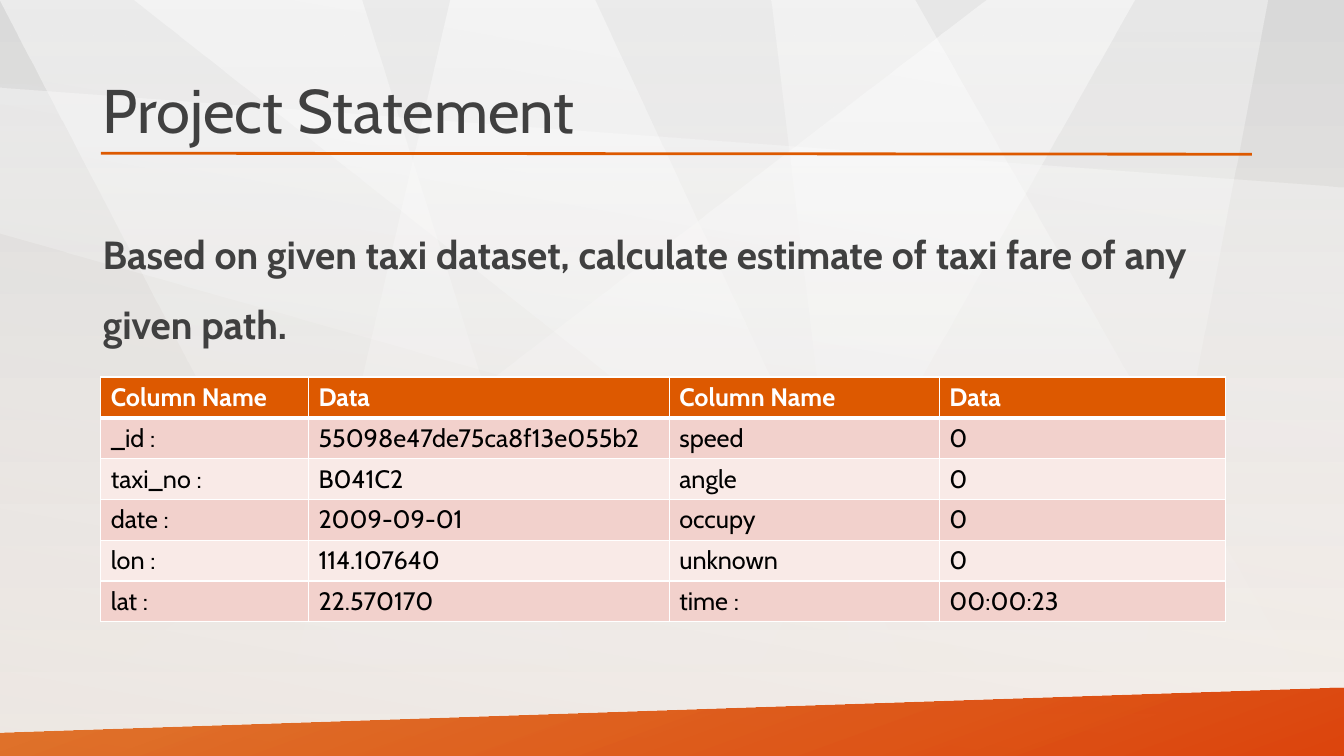
from dataclasses import dataclass

import lxml.etree
import pptx
import pptx.dml.color
import pptx.enum.shapes
import pptx.enum.text
import pptx.oxml.ns
import pptx.util

# Lengths are percentages of the slide's width (x) and height (y).
WIDTH = pptx.util.Inches(13.333)
HEIGHT = pptx.util.Inches(7.5)
FONT = "Cabin"
ORANGE, WHITE, BLACK, GREY = "DD5900", "FFFFFF", "000000", "404040"
BANDS = ("F2D1CC", "F9EAE7")
COLUMN_WIDTHS = (15.45, 26.85, 20.1, 21.3)
ROW_HEIGHT = 5.4
ROWS = (
    ("Column Name", "Data", "Column Name", "Data"),
    ("_id :", "55098e47de75ca8f13e055b2", "speed", "0"),
    ("taxi_no :", "B041C2", "angle", "0"),
    ("date :", "2009-09-01", "occupy", "0"),
    ("lon :", "114.107640", "unknown", "0"),
    ("lat :", "22.570170", "time :", "00:00:23"),
)


@dataclass(frozen=True)
class Gradient:
    """Two colours with opacities in percent, and a clockwise angle."""
    start: str
    start_opacity: int
    end: str
    end_opacity: int
    angle: int = 90


@dataclass(frozen=True)
class Facet:
    points: tuple[tuple[float, float], ...]
    gradient: Gradient


HALF_GLOW = Gradient(WHITE, 50, WHITE, 0)
SOFT_GLOW = Gradient(WHITE, 40, WHITE, 0)
SHEEN = Gradient("BFBFBF", 25, WHITE, 0, 280)
BACKDROP = Gradient("D9D9D9", 50, "FCF5EF", 100)
FACETS = (
    Facet(((73.4, 0), (0, 100), (52.6, 100), (84.4, 0)), HALF_GLOW),
    Facet(((0, 0), (26.9, 0), (44.6, 100), (29.3, 100)), HALF_GLOW),
    Facet(((9.9, 0), (68, 0), (100, 100), (81.2, 100)), HALF_GLOW),
    Facet(((57.4, 0), (64.2, 100), (83.6, 100), (94.3, 0)), SOFT_GLOW),
    Facet(((44.2, 0), (33.5, 0), (20.4, 100), (70.4, 100)), HALF_GLOW),
    Facet(((0, 11.6), (100, 24.8), (100, 81.3), (0, 30.9)), SOFT_GLOW),
    Facet(((0, 0), (100, 0), (100, 100), (0, 100)), SHEEN),
    Facet(((0, 96.9), (100, 90.9), (100, 100), (0, 100)),
          Gradient(ORANGE, 80, "DC3C00", 95, 70)),
)


def across(share: float) -> int:
    return round(WIDTH * share / 100)


def down(share: float) -> int:
    return round(HEIGHT * share / 100)


def rgb(colour: str) -> pptx.dml.color.RGBColor:
    return pptx.dml.color.RGBColor.from_string(colour)


def add_xml(parent, tag: str, **attributes: str):
    return lxml.etree.SubElement(parent, pptx.oxml.ns.qn(tag), attributes)


def paint_gradient(fill, owner, gradient: Gradient) -> None:
    """Fill with a gradient; owner is the element that holds the fill."""
    fill.gradient()
    fill.gradient_angle = (360 - gradient.angle) % 360
    for stop, colour in zip(fill.gradient_stops, (gradient.start, gradient.end)):
        stop.color.rgb = rgb(colour)
    opacities = (gradient.start_opacity, gradient.end_opacity)
    for colour_node, opacity in zip(owner.iter(pptx.oxml.ns.qn("a:srgbClr")), opacities):
        add_xml(colour_node, "a:alpha", val=str(opacity * 1000))


def add_facet(page, facet: Facet) -> None:
    corners = [(across(x), down(y)) for x, y in facet.points]
    builder = page.shapes.build_freeform(*corners[0])
    builder.add_line_segments(corners[1:], close=True)
    shape = builder.convert_to_shape()
    shape.shadow.inherit = False
    paint_gradient(shape.fill, shape.element, facet.gradient)
    shape.line.fill.background()


def write(frame, text: str, *, size: float, colour: str, bold: bool = False,
          spacing: float = 1.0) -> None:
    para = frame.paragraphs[0]
    para.line_spacing = spacing
    span = para.add_run()
    span.text = text
    span.font.name = FONT
    span.font.size = pptx.util.Pt(size)
    span.font.bold = bold
    span.font.color.rgb = rgb(colour)


def add_text(page, text: str, top: float, height: float,
             anchor: pptx.enum.text.MSO_ANCHOR, **style) -> None:
    box = page.shapes.add_textbox(across(6.9), down(top), across(86.25), down(height))
    box.text_frame.word_wrap = True
    box.text_frame.vertical_anchor = anchor
    write(box.text_frame, text, **style)


def add_rule(page) -> None:
    rule = page.shapes.add_connector(
        pptx.enum.shapes.MSO_CONNECTOR.STRAIGHT,
        across(7.5), down(20.27), across(93.15), down(20.4))
    rule.line.color.rgb = rgb(ORANGE)
    rule.line.width = pptx.util.Pt(2)
    add_xml(rule.element.spPr, "a:effectLst")


def set_borders(cell, top: float, bottom: float) -> None:
    """Draw white borders; side borders are 1 point wide."""
    properties = cell._tc.get_or_add_tcPr()
    widths = {"a:lnL": 1, "a:lnR": 1, "a:lnT": top, "a:lnB": bottom}
    for index, (tag, width) in enumerate(widths.items()):
        border = add_xml(properties, tag, w=str(pptx.util.Pt(width)))
        add_xml(add_xml(border, "a:solidFill"), "a:srgbClr", val=WHITE)
        properties.insert(index, border)


def add_data_table(page) -> None:
    table = page.shapes.add_table(
        len(ROWS), len(COLUMN_WIDTHS), across(7.5), down(49.87),
        across(sum(COLUMN_WIDTHS)), down(ROW_HEIGHT * len(ROWS))).table
    table.horz_banding = False
    for column, width in zip(table.columns, COLUMN_WIDTHS):
        column.width = across(width)
    for row, texts in enumerate(ROWS):
        table.rows[row].height = down(ROW_HEIGHT)
        header = row == 0
        for column, text in enumerate(texts):
            cell = table.cell(row, column)
            cell.fill.solid()
            cell.fill.fore_color.rgb = rgb(ORANGE if header else BANDS[(row - 1) % 2])
            set_borders(cell, top=3 if row == 1 else 1, bottom=3 if header else 1)
            write(cell.text_frame, text, size=18, bold=header,
                  colour=WHITE if header else BLACK)


def main() -> None:
    deck = pptx.Presentation()
    deck.slide_width, deck.slide_height = WIDTH, HEIGHT
    page = deck.slides.add_slide(deck.slide_layouts[6])
    paint_gradient(page.background.fill, page.element, BACKDROP)
    for facet in FACETS:
        add_facet(page, facet)
    add_text(page, "Project Statement", 5.33, 19.33, pptx.enum.text.MSO_ANCHOR.MIDDLE,
             size=44, colour=GREY, spacing=0.9)
    add_text(page, "Based on given taxi dataset, calculate estimate of taxi fare "
             "of any given path.", 26.67, 63.47, pptx.enum.text.MSO_ANCHOR.TOP,
             size=28, colour=GREY, bold=True, spacing=1.5)
    add_rule(page)
    add_data_table(page)
    deck.save("out.pptx")


if __name__ == "__main__":
    main()
